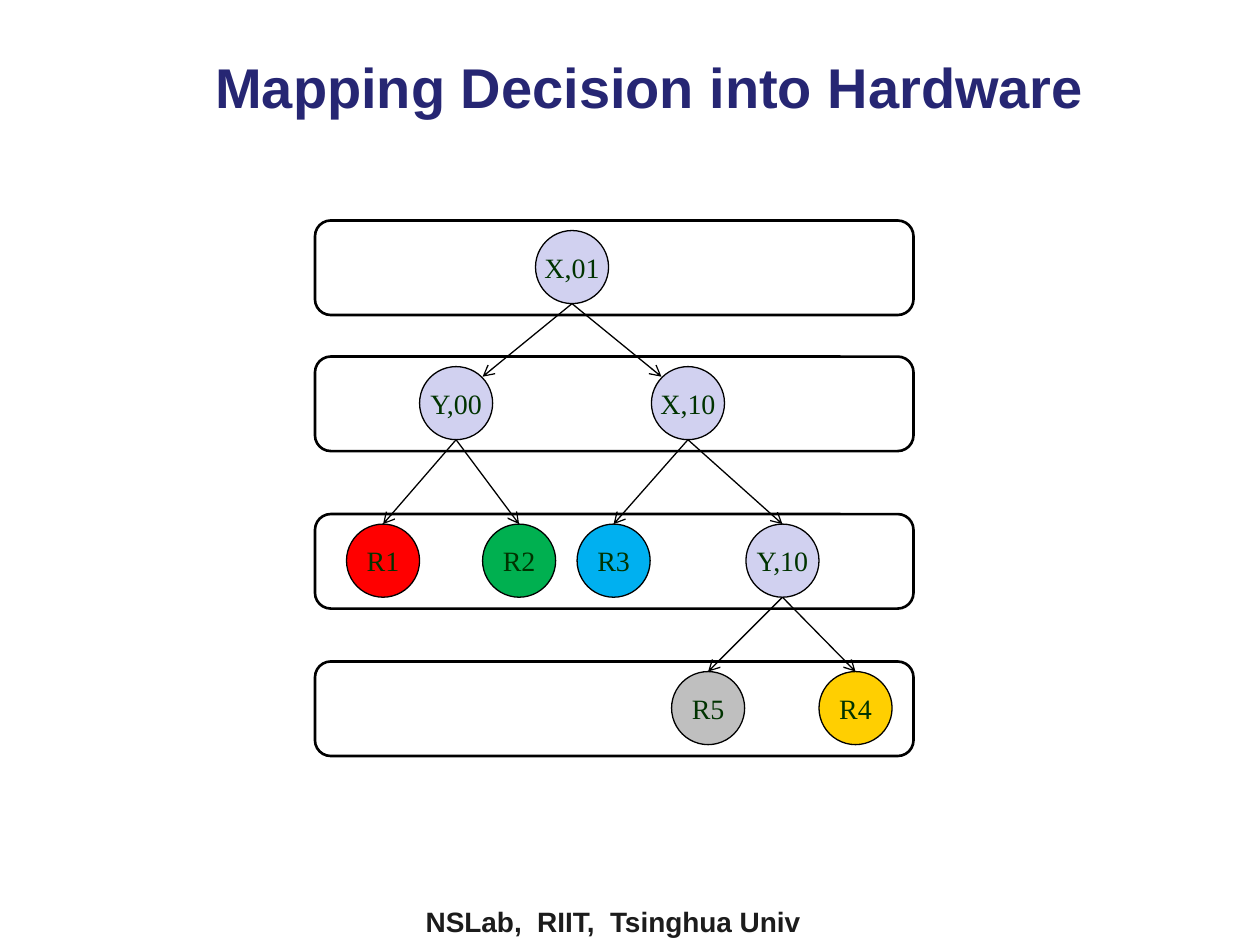
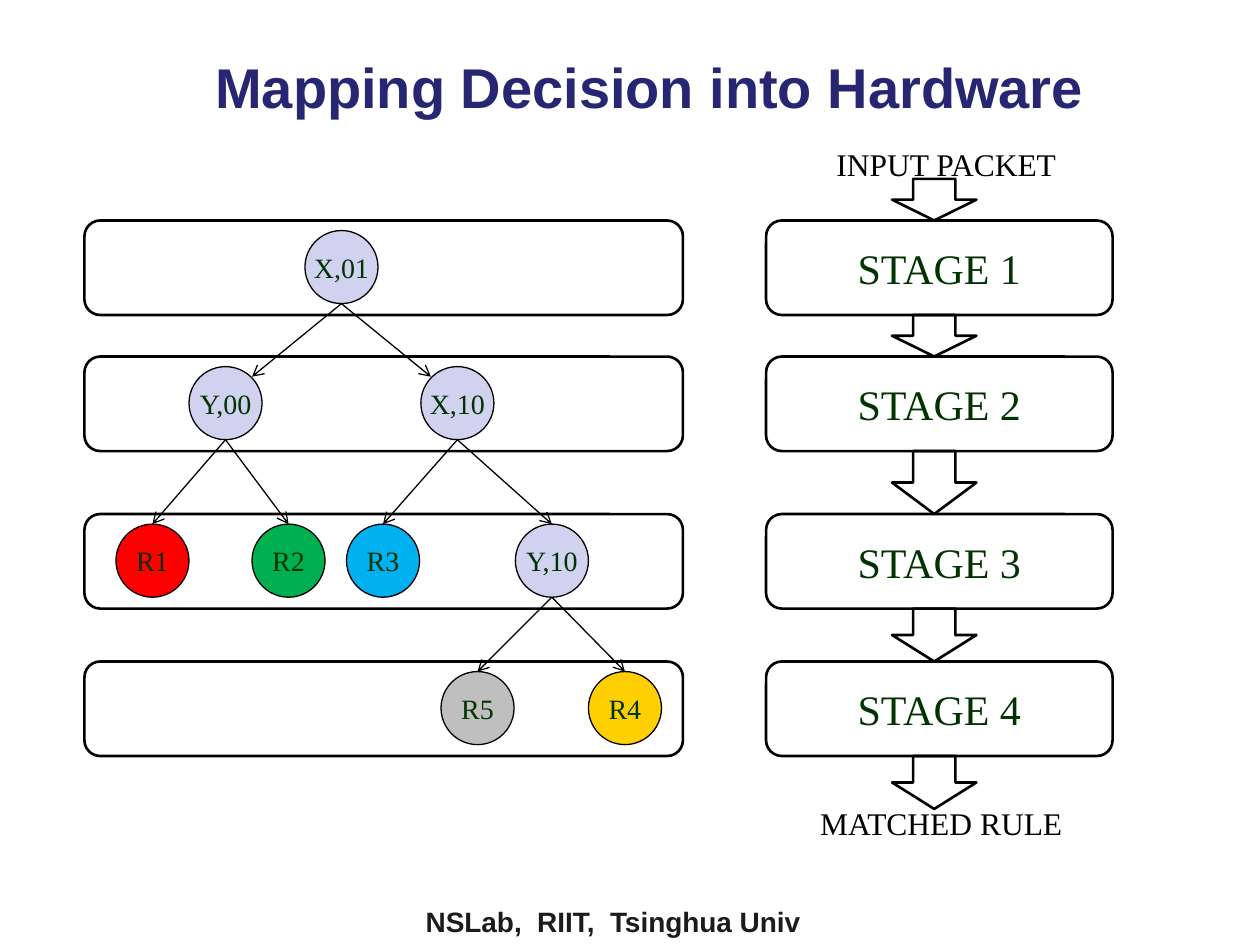
from dataclasses import dataclass
from itertools import pairwise
from lxml.etree import SubElement
from pptx import Presentation
from pptx.dml.color import RGBColor
from pptx.enum.shapes import MSO_CONNECTOR, MSO_SHAPE
from pptx.enum.text import MSO_ANCHOR, PP_ALIGN
from pptx.oxml.ns import qn
from pptx.util import Inches, Pt


@dataclass(frozen=True)
class Theme:
    head: str = "Arial"
    body: str = "Times New Roman"
    title: str = "262673"
    foot: str = "1C1C1C"
    ink: str = "003300"
    line: str = "000000"
    node: str = "D1D1F0"
    red: str = "FF0000"
    green: str = "00B050"
    blue: str = "00B0F0"
    gray: str = "BFBFBF"
    gold: str = "FFCF01"
    title_size: int = 32
    stage_size: int = 24
    label_size: int = 18
    small_size: int = 16
    thin: float = 0.75
    thick: float = 1.5


T = Theme()

TITLE = "Mapping Decision into Hardware"
FOOTER = "NSLab,  RIIT,  Tsinghua Univ"
STAGES = ["STAGE 1", "STAGE 2", "STAGE 3", "STAGE 4"]

# name: level, offset from the left of the band, fill
NODES = {
    "X,01": (0, 1.75, T.node),
    "Y,00": (1, 0.83, T.node),
    "X,10": (1, 2.67, T.node),
    "R1": (2, 0.25, T.red),
    "R2": (2, 1.33, T.green),
    "R3": (2, 2.08, T.blue),
    "Y,10": (2, 3.42, T.node),
    "R5": (3, 2.83, T.gray),
    "R4": (3, 4.0, T.gold),
}
# parent: left child, right child
TREE = {
    "X,01": ("Y,00", "X,10"),
    "Y,00": ("R1", "R2"),
    "X,10": ("R3", "Y,10"),
    "Y,10": ("R5", "R4"),
}
ROOT = "X,01"

TOPS = [1.75, 2.83, 4.08, 5.25]
BAND_W, BAND_H = 4.75, 0.75
DOT, PAD = 0.58, 0.08
STAGE_X, STAGE_W = 6.08, 2.75
FLOW_X, FLOW_W = 7.08, 0.67
FLOW_TOP, FLOW_END = 1.42, 6.42


def color(code):
    return RGBColor.from_string(code)


def write(shape, text, size, tint, font=T.body, bold=False, align=PP_ALIGN.LEFT):
    shape.text_frame.word_wrap = False
    para = shape.text_frame.paragraphs[0]
    para.text = text
    para.alignment = align
    para.font.name = font
    para.font.size = Pt(size)
    para.font.bold = bold
    para.font.color.rgb = color(tint)


def label(slide, box, text, size, tint, anchor=MSO_ANCHOR.TOP, **style):
    shape = slide.shapes.add_textbox(*map(Inches, box))
    shape.text_frame.vertical_anchor = anchor
    write(shape, text, size, tint, **style)


def draw(slide, kind, box, width, fill=None, text="", size=T.small_size):
    """Add an outlined shape, with centred text if there is any."""
    shape = slide.shapes.add_shape(kind, *map(Inches, box))
    shape.shadow.inherit = False
    if fill:
        shape.fill.solid()
        shape.fill.fore_color.rgb = color(fill)
    else:
        shape.fill.background()
    shape.line.color.rgb = color(T.line)
    shape.line.width = Pt(width)
    if text:
        shape.text_frame.vertical_anchor = MSO_ANCHOR.MIDDLE
        write(shape, text, size, T.ink, align=PP_ALIGN.CENTER)
    return shape


def link(slide, start, end):
    line = slide.shapes.add_connector(
        MSO_CONNECTOR.STRAIGHT, *map(Inches, (*start, *end)))
    line.line.color.rgb = color(T.line)
    line.line.width = Pt(T.thin)
    SubElement(line.line._get_or_add_ln(), qn("a:tailEnd"), type="arrow")
    SubElement(line._element.spPr, qn("a:effectLst"))
    return line


def add_tree(slide, left):
    spots, dots = {}, {}
    for name, (level, shift, fill) in NODES.items():
        x, y = spots[name] = left + shift, TOPS[level] + PAD
        dots[name] = draw(slide, MSO_SHAPE.OVAL, (x, y, DOT, DOT), T.thin, fill, name)
    for name, kids in TREE.items():
        x, y = spots[name]
        start = x + DOT / 2, y + DOT
        for kid, side in zip(kids, (DOT - PAD, PAD)):
            x, y = spots[kid]
            if name == ROOT:
                link(slide, start, (x + side, y + PAD))
            else:
                link(slide, start, (x + DOT / 2, y)).end_connect(dots[kid], 0)
    for top in TOPS:
        draw(slide, MSO_SHAPE.ROUNDED_RECTANGLE, (left, top, BAND_W, BAND_H), T.thick)


def add_flow(slide):
    """Add the stages and the block arrows that fill the gaps between them."""
    for top, name in zip(TOPS, STAGES):
        draw(slide, MSO_SHAPE.ROUNDED_RECTANGLE, (STAGE_X, top, STAGE_W, BAND_H),
             T.thick, text=name, size=T.stage_size)
    edges = [FLOW_TOP - BAND_H, *TOPS, FLOW_END]
    for top, end in pairwise(edges):
        start = top + BAND_H
        draw(slide, MSO_SHAPE.DOWN_ARROW, (FLOW_X, start, FLOW_W, end - start), T.thick)
    label(slide, (6.54, 1.1, 1.97, 0.4), "INPUT PACKET", T.label_size, T.line)
    label(slide, (6.41, 6.33, 2.15, 0.4), "MATCHED RULE", T.label_size, T.line)


def add_page(deck):
    slide = deck.slides.add_slide(deck.slide_layouts[6])
    label(slide, (3.28, 7.13, 3.52, 0.37), FOOTER, T.small_size, T.foot,
          font=T.head, bold=True)
    label(slide, (1.61, 0.21, 7.95, 0.79), TITLE, T.title_size, T.title,
          anchor=MSO_ANCHOR.BOTTOM, font=T.head, bold=True)
    return slide


def main():
    deck = Presentation()
    deck.slide_width, deck.slide_height = Inches(10), Inches(7.5)
    add_tree(add_page(deck), 2.5)
    page = add_page(deck)
    add_flow(page)
    add_tree(page, 0.67)
    deck.save("out.pptx")


if __name__ == "__main__":
    main()
